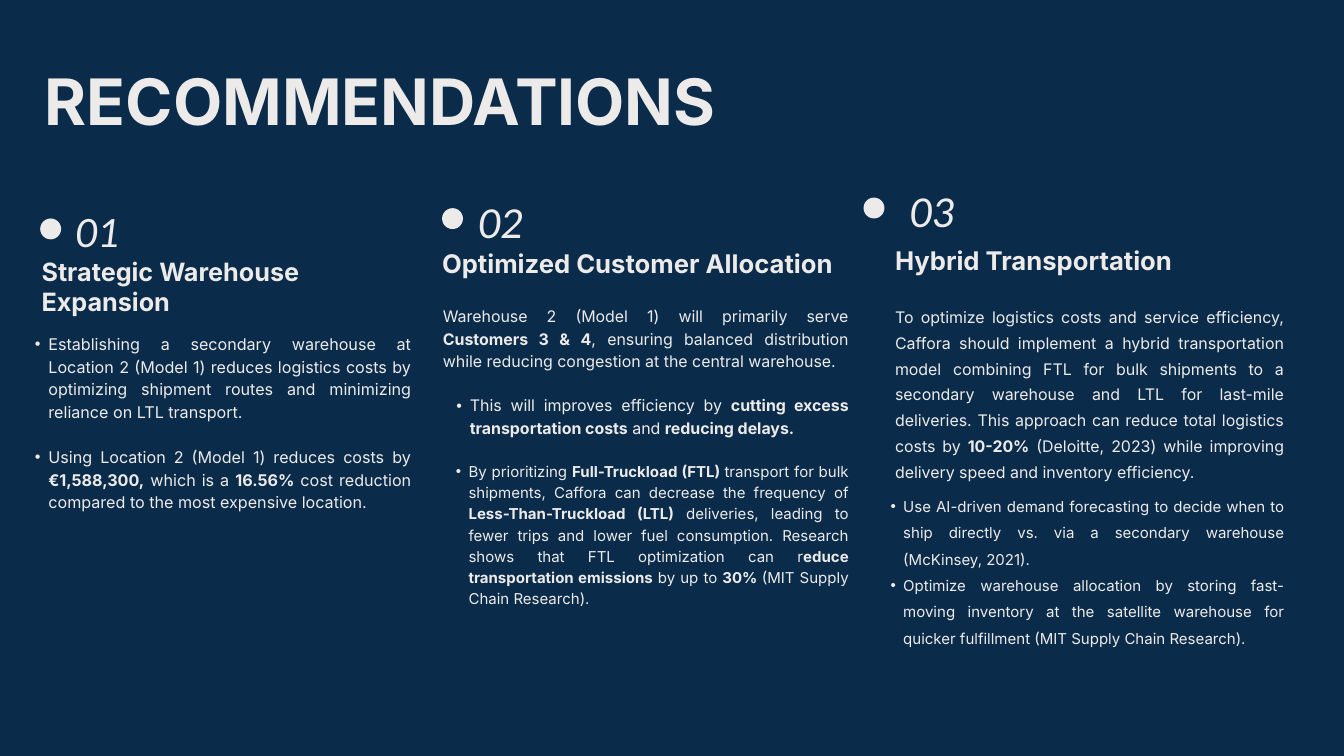
"""Build the recommendations slide with three numbered columns."""
from lxml import etree
from pptx import Presentation
from pptx.dml.color import RGBColor
from pptx.enum.shapes import MSO_SHAPE
from pptx.enum.text import MSO_ANCHOR, MSO_AUTO_SIZE, PP_ALIGN
from pptx.oxml.ns import qn
from pptx.util import Cm, Pt

OVAL = MSO_SHAPE.OVAL
TOP = MSO_ANCHOR.TOP
NO_FIT = MSO_AUTO_SIZE.NONE
LEFT, JUSTIFY = PP_ALIGN.LEFT, PP_ALIGN.JUSTIFY
COLORS = {"navy": "0A2C4A", "light": "EDEBEA"}
COMPARISON = 4

COLUMNS = [
    {"dot": (1.52, 8.26), "number": ("01", (2.84, 7.39, 3.05, 2.26), 46.5, 65.2),
     "heading": ("Strategic Warehouse Expansion", (1.57, 9.68, 11.68, 2.29), 27, 32.4)},
    {"dot": (16.71, 7.87), "number": ("02", (18.06, 7.01, 3.12, 2.26), 47.5, 66.5),
     "heading": ("Optimized Customer Allocation", (16.71, 9.37, 15.34, 1.19), 27.5, 33)},
    {"dot": (32.64, 7.47), "number": ("03", (34.37, 6.6, 3.12, 2.26), 47.4, 66.4),
     "heading": ("Hybrid Transportation", (33.83, 9.27, 11.43, 1.14), 27.5, 33)},
]

BODIES = [
    ((0.79, 12.52, 14.76, 8.36), [
        {"text": "Establishing a secondary warehouse at Location 2 (Model 1) reduces logistics "
                 "costs by optimizing shipment routes and minimizing reliance on LTL transport.",
         "size": 17.3, "line": 24.2, "indent": 1.04, "hang": 0.51},
        {"text": "Using Location 2 (Model 1) reduces costs by **€1,588,300,** which is a "
                 "**16.56%** cost reduction compared to the most expensive location.",
         "size": 17.3, "line": 24.2, "indent": 1.04, "hang": 0.51, "before": 24.2}]),
    ((16.74, 11.48, 15.34, 15.37), [
        {"text": "Warehouse 2 (Model 1) will primarily serve **Customers 3 & 4**, ensuring "
                 "balanced distribution while reducing congestion at the central warehouse.",
         "size": 17.1, "line": 23.9},
        {"text": "This will improves efficiency by **cutting excess transportation costs** "
                 "and **reducing delays.**",
         "size": 17.1, "line": 23.9, "indent": 1.02, "hang": 0.51, "before": 23.9},
        {"text": "By prioritizing **Full-Truckload (FTL) **transport for bulk shipments, Caffora "
                 "can decrease the frequency of **Less-Than-Truckload (LTL)** deliveries, "
                 "leading to fewer trips and lower fuel consumption. Research shows that FTL "
                 "optimization can r**educe transportation emissions** by up to **30% **"
                 "(MIT Supply Chain Research).",
         "size": 16.1, "line": 22.6, "indent": 0.97, "hang": 0.48, "before": 23.9}]),
    ((33.83, 11.38, 14.71, 6.63), [
        {"text": "To optimize logistics costs and service efficiency, Caffora should implement a "
                 "hybrid transportation model combining FTL for bulk shipments to a secondary "
                 "warehouse and LTL for last-mile deliveries. This approach can reduce total "
                 "logistics costs by **10-20%** (Deloitte, 2023) while improving delivery speed "
                 "and inventory efficiency.",
         "size": 17.1, "line": 27.6}]),
    ((33.17, 18.49, 15.37, 5.82), [
        {"text": "Use AI-driven demand forecasting to decide when to ship directly vs. via a "
                 "secondary warehouse (McKinsey, 2021).",
         "size": 16.1, "line": 28.2, "indent": 0.97, "hang": 0.48},
        {"text": "Optimize warehouse allocation by storing fast-moving inventory at the "
                 "satellite warehouse for quicker fulfillment (MIT Supply Chain Research).",
         "size": 16.1, "line": 28.2, "indent": 0.97, "hang": 0.48}]),
]


class Deck:
    """Hold the style and the current slide."""

    def __init__(self, prs):
        """Add a slide with the navy background."""
        self.s = prs.slides.add_slide(prs.slide_layouts[COMPARISON])
        self.color = RGBColor.from_string(COLORS["light"])
        fill = self.s.background.fill
        fill.solid()
        fill.fore_color.rgb = RGBColor.from_string(COLORS["navy"])

    def frame(self, sp, box):
        """Place a shape and return its unpadded text frame."""
        for name, value in zip(("left", "top", "width", "height"), box):
            setattr(sp, name, Cm(value))
        tf = sp.text_frame
        settings = {"margin_left": 0, "margin_top": 0, "margin_right": 0, "margin_bottom": 0,
                    "word_wrap": True, "auto_size": NO_FIT, "vertical_anchor": TOP}
        for name, value in settings.items():
            setattr(tf, name, value)
        return tf

    def add_text(self, p, text, size, line, align=LEFT, before=0, font="Inter",
                 bold=False, italic=False):
        """Fill a paragraph, switching bold at each pair of asterisks."""
        layout = {"alignment": align, "line_spacing": Pt(line),
                  "space_before": Pt(before), "space_after": Pt(0)}
        for name, value in layout.items():
            setattr(p, name, value)
        for i, part in enumerate(text.split("**")):
            if part:
                r = p.add_run()
                r.text = part
                style = {"name": font, "size": Pt(size), "italic": italic,
                         "bold": bold or i % 2 == 1}
                for name, value in style.items():
                    setattr(r.font, name, value)
                r.font.color.rgb = self.color

    def title(self, text, box, size, line):
        """Fill the title placeholder."""
        tf = self.frame(self.s.shapes.title, box)
        self.add_text(tf.paragraphs[0], text, size, line, bold=True)

    def label(self, text, box, size, line, **style):
        """Add a single-paragraph text box."""
        sp = self.s.shapes.add_textbox(0, 0, 0, 0)
        self.add_text(self.frame(sp, box).paragraphs[0], text, size, line, **style)

    def body(self, idx, box, items):
        """Fill a body placeholder with plain and bulleted paragraphs."""
        tf = self.frame(self.s.placeholders[idx], box)
        for i, item in enumerate(items):
            p = tf.paragraphs[0] if i == 0 else tf.add_paragraph()
            indent = item.get("indent", 0)
            p.level = 1 if indent else 0
            pPr = p._p.get_or_add_pPr()
            pPr.set("marL", str(Cm(indent)))
            pPr.set("indent", str(-Cm(item.get("hang", 0))))
            if indent:
                etree.SubElement(pPr, qn("a:buFont")).set("typeface", "Arial")
                etree.SubElement(pPr, qn("a:buChar")).set("char", "•")
            else:
                etree.SubElement(pPr, qn("a:buNone"))
            self.add_text(p, item["text"], item["size"], item["line"], JUSTIFY,
                          item.get("before", 0))

    def dot(self, left, top, size=0.79):
        """Add a filled round marker."""
        sp = self.s.shapes.add_shape(OVAL, Cm(left), Cm(top), Cm(size), Cm(size))
        sp.shadow.inherit = False
        sp.fill.solid()
        sp.fill.fore_color.rgb = self.color
        sp.line.fill.background()


def main():
    """Build and save the slide."""
    prs = Presentation()
    prs.slide_width, prs.slide_height = Cm(50.8), Cm(28.58)
    deck = Deck(prs)
    deck.title("RECOMMENDATIONS", (1.7, 2.44, 26.64, 2.82), 68.6, 78.9)
    for column in COLUMNS:
        deck.dot(*column["dot"])
        deck.label(*column["number"], font="Calibri", italic=True)
        deck.label(*column["heading"], bold=True)
    for idx, (box, items) in enumerate(BODIES, 1):
        deck.body(idx, box, items)
    prs.save("out.pptx")


if __name__ == "__main__":
    main()
